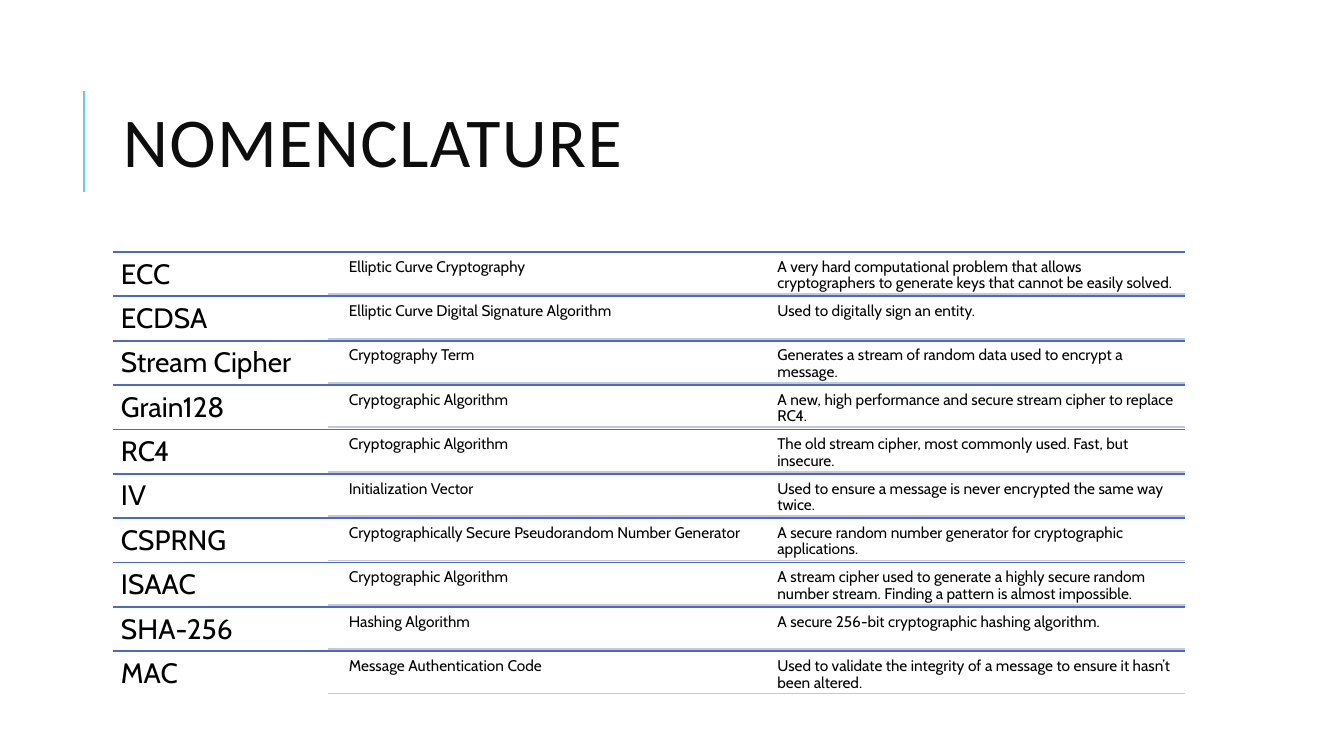
from pptx import Presentation
from pptx.dml.color import RGBColor
from pptx.enum.shapes import MSO_CONNECTOR
from pptx.enum.text import MSO_ANCHOR as Anchor
from pptx.oxml.ns import qn
from pptx.util import Inches, Pt
from lxml import etree

SKY = RGBColor(0x5E, 0xCC, 0xF3)
BLUE = RGBColor(0x4E, 0x67, 0xC8)
PALE = RGBColor(0xC2, 0xC7, 0xE6)
INK = RGBColor(0x0D, 0x0D, 0x0D)
BLACK = RGBColor(0, 0, 0)

TERMS = [
    ("ECC", "Elliptic Curve Cryptography",
     "A very hard computational problem that allows cryptographers to "
     "generate keys that cannot be easily solved."),
    ("ECDSA", "Elliptic Curve Digital Signature Algorithm",
     "Used to digitally sign an entity."),
    ("Stream Cipher", "Cryptography Term",
     "Generates a stream of random data used to encrypt a message."),
    ("Grain128", "Cryptographic Algorithm",
     "A new, high performance and secure stream cipher to replace RC4."),
    ("RC4", "Cryptographic Algorithm",
     "The old stream cipher, most commonly used. Fast, but insecure."),
    ("IV", "Initialization Vector",
     "Used to ensure a message is never encrypted the same way twice."),
    ("CSPRNG", "Cryptographically Secure Pseudorandom Number Generator",
     "A secure random number generator for cryptographic applications."),
    ("ISAAC", "Cryptographic Algorithm",
     "A stream cipher used to generate a highly secure random number stream. "
     "Finding a pattern is almost impossible."),
    ("SHA-256", "Hashing Algorithm",
     "A secure 256-bit cryptographic hashing algorithm."),
    ("MAC", "Message Authentication Code",
     "Used to validate the integrity of a message to ensure it hasn’t "
     "been altered."),
]
LEFT, MID, RIGHT = 1.12, 3.25, 11.75
TOP, STEP = 2.5, 0.44
# left, drop below the row line, width, height, inset, text size
COLS = [
    (LEFT, 0, 2.13, STEP, 0.08, 20),
    (3.41, 0.02, 4.09, 0.4, 0.05, 11),
    (7.66, 0.02, 4.09, 0.4, 0.05, 11),
]

deck = Presentation()
deck.slide_width, deck.slide_height = Inches(13.33), Inches(7.5)
slide = deck.slides.add_slide(deck.slide_layouts[6])


def add_line(x1, y1, x2, y2, color, width=1.25):
    ends = [Inches(n) for n in (x1, y1, x2, y2)]
    line = slide.shapes.add_connector(MSO_CONNECTOR.STRAIGHT, *ends)
    line.line.color.rgb = color
    line.line.width = Pt(width)
    etree.SubElement(line._element.spPr, qn("a:effectLst"))


def add_text(text, box, pad, size, face="Cabin", color=BLACK,
             gap=0.9, anchor=Anchor.TOP):
    """Add a one-paragraph text box and return its run."""
    frame = slide.shapes.add_textbox(*[Inches(n) for n in box]).text_frame
    look = {"word_wrap": True, "vertical_anchor": anchor}
    look.update({f"margin_{side}": Inches(pad)
                 for side in ("left", "top", "right", "bottom")})
    for key, value in look.items():
        setattr(frame, key, value)
    para = frame.paragraphs[0]
    para.line_spacing = gap
    run = para.add_run()
    run.text = text
    for key, value in {"name": face, "size": Pt(size)}.items():
        setattr(run.font, key, value)
    run.font.color.rgb = color
    return run


add_line(0.83, 1.9, 0.83, 0.9, SKY, 1.5)
title = add_text("NOMENCLATURE", (LEFT, 0.64, 10.63, 1.64), 0.1, 50,
                 "Calibri", INK, 0.8, Anchor.MIDDLE)
title._r.get_or_add_rPr().set("spc", "100")

for row, term in enumerate(TERMS):
    y = TOP + row * STEP
    add_line(LEFT, y, RIGHT, y, BLUE)
    for text, (x, drop, width, height, pad, size) in zip(term, COLS):
        add_text(text, (x, y + drop, width, height), pad, size)
    add_line(MID, y + 0.42, RIGHT, y + 0.42, PALE)

deck.save("out.pptx")
